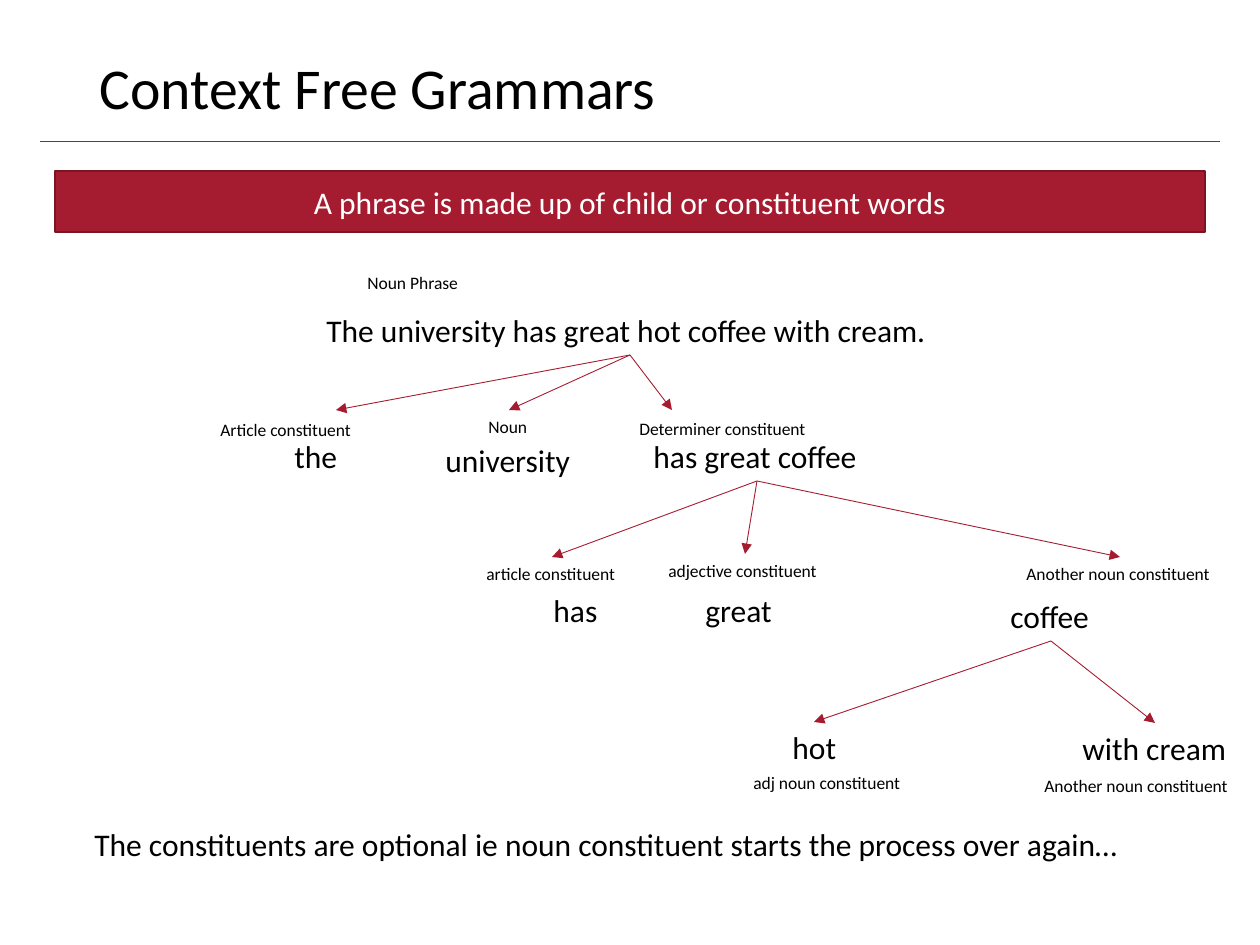
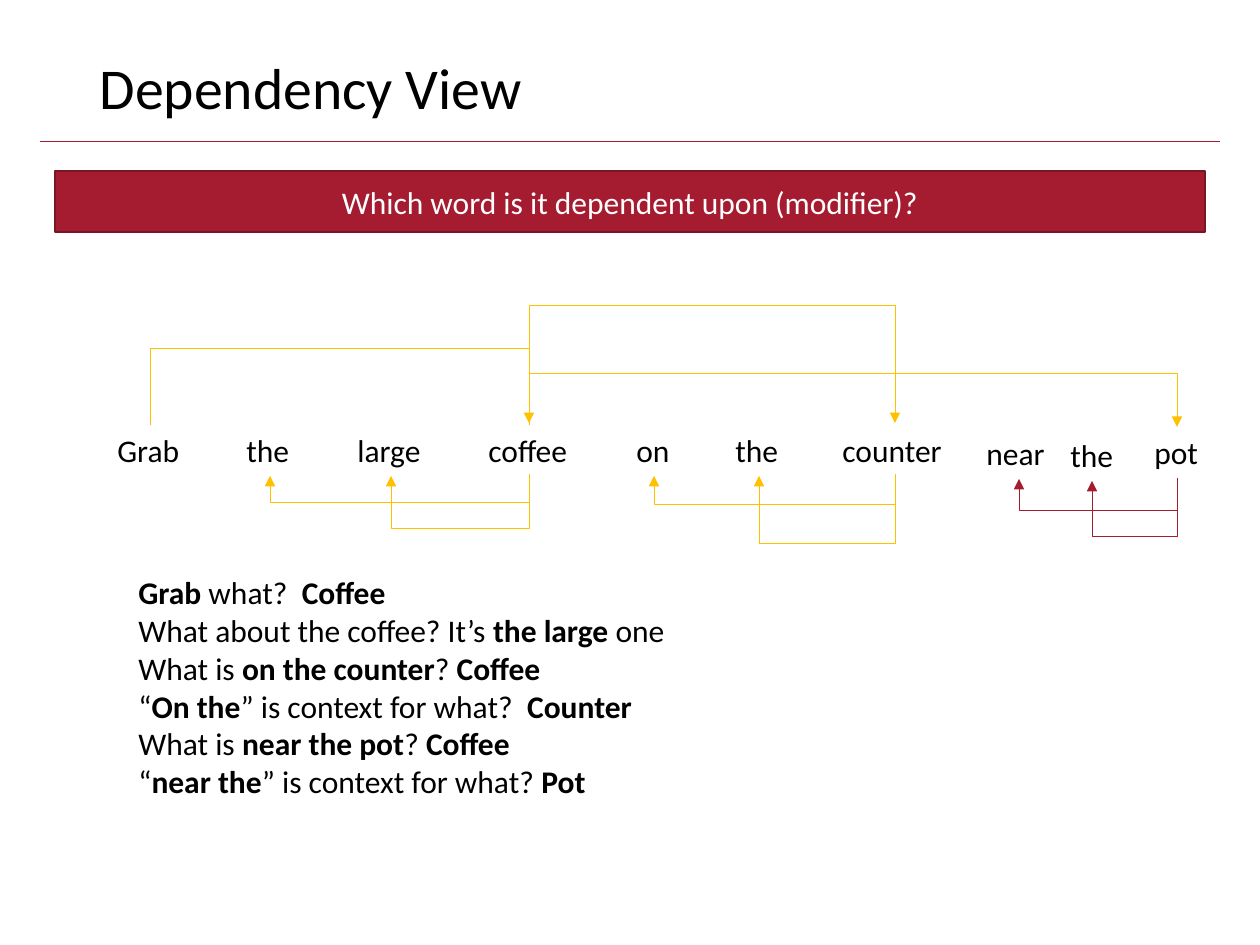
"""Build two slides on phrase constituents and word dependencies."""
import pptx
import pptx.dml.color
import pptx.enum.shapes
import pptx.enum.text
import pptx.oxml.ns
import pptx.oxml.xmlchemy
import pptx.util

EMU_PER_PIXEL = 914400 / 126
COLORS = {"crimson": "A51C30", "dark": "7A1524", "gold": "FFC000",
          "ink": "000000", "paper": "FFFFFF"}
ALIGN = pptx.enum.text.PP_ALIGN
ANCHOR = pptx.enum.text.MSO_ANCHOR
FIT = pptx.enum.text.MSO_AUTO_SIZE
CONNECTOR = pptx.enum.shapes.MSO_CONNECTOR


def px(length):
    return pptx.util.Emu(round(length * EMU_PER_PIXEL))


def rgb(name):
    return pptx.dml.color.RGBColor.from_string(COLORS[name])


def add_xml(parent, tag, **attributes):
    child = pptx.oxml.xmlchemy.OxmlElement(tag)
    for name, value in attributes.items():
        child.set(name, value)
    parent.append(child)
    return child


def write_text(frame, text, size=18, color="ink", align=ALIGN.LEFT,
               anchor=ANCHOR.TOP, spacing=None, wrap=True, fit=FIT.NONE):
    frame.word_wrap = wrap
    frame.auto_size = fit
    frame.vertical_anchor = anchor
    for number, line in enumerate(text.split("\n")):
        paragraph = frame.add_paragraph() if number else frame.paragraphs[0]
        paragraph.alignment = align
        paragraph.line_spacing = spacing
        for position, part in enumerate(line.split("*")):
            if part:
                run = paragraph.add_run()
                run.text = part
                run.font.name = "Calibri"
                run.font.size = pptx.util.Pt(size)
                run.font.bold = position % 2 == 1
                run.font.color.rgb = rgb(color)


class Deck:
    def __init__(self):
        self.presentation = pptx.Presentation()
        self.presentation.slide_width = px(1260)
        self.presentation.slide_height = px(945)
        self.slide = None

    def new_slide(self, title, statement):
        self.slide = self.presentation.slides.add_slide(self.presentation.slide_layouts[5])
        self.line((40, 141), (1220, 141))
        heading = self.slide.shapes.title
        heading.left, heading.top, heading.width, heading.height = map(px, (87, 50, 1086, 82))
        write_text(heading.text_frame, title, size=33, anchor=ANCHOR.MIDDLE, spacing=0.9)
        self.band(statement)

    def band(self, statement):
        band = self.slide.shapes.add_shape(
            pptx.enum.shapes.MSO_SHAPE.RECTANGLE, *map(px, (55, 171, 1150, 61)))
        band.shadow.inherit = False
        band.fill.solid()
        band.fill.fore_color.rgb = rgb("crimson")
        band.line.color.rgb = rgb("dark")
        band.line.width = pptx.util.Pt(1)
        write_text(band.text_frame, statement, color="paper",
                   align=ALIGN.CENTER, anchor=ANCHOR.MIDDLE)

    def label(self, text, left, top, width, height=50, size=18):
        box = self.slide.shapes.add_textbox(*map(px, (left, top, width, height)))
        write_text(box.text_frame, text, size=size, wrap=False, fit=FIT.SHAPE_TO_FIT_TEXT)

    def line(self, start, end, kind=CONNECTOR.STRAIGHT, color="crimson", arrow=False):
        connector = self.slide.shapes.add_connector(kind, *map(px, (*start, *end)))
        connector.line.color.rgb = rgb(color)
        connector.line.width = pptx.util.Pt(0.5)
        if arrow:
            add_xml(connector.get_or_add_ln(), "a:tailEnd", type="triangle")
        add_xml(connector._element.spPr, "a:effectLst")
        return connector

    def branches(self, parent, children):
        for child in children:
            self.line(parent, child, arrow=True)

    def dependency(self, start, end, level, color="gold"):
        (x1, y1), (x2, y2) = start, end
        middle_x, middle_y = (x1 + x2) / 2, (y1 + y2) / 2
        leftward = x2 < x1
        half_width = (y2 - y1) / 2 * (1 if leftward else -1)
        half_height = abs(x2 - x1) / 2
        elbow = self.line((middle_x - half_width, middle_y - half_height),
                          (middle_x + half_width, middle_y + half_height),
                          kind=CONNECTOR.ELBOW, color=color, arrow=True)
        properties = elbow._element.spPr
        properties.find(pptx.oxml.ns.qn("a:xfrm")).set("rot", str((90 if leftward else 270) * 60000))
        geometry = properties.find(pptx.oxml.ns.qn("a:prstGeom"))
        guides = geometry.find(pptx.oxml.ns.qn("a:avLst"))
        if guides is None:
            guides = add_xml(geometry, "a:avLst")
        bend = round((level - y1) / (y2 - y1) * 100000)
        add_xml(guides, "a:gd", name="adj1", fmla=f"val {bend}")


deck = Deck()

deck.new_slide("Context Free Grammars", "A phrase is made up of child or constituent words")
for phrase in (
        ("The university has great hot coffee with cream.", 314, 305, 633),
        ("the", 282, 431, 69), ("university", 433, 435, 151),
        ("has great coffee", 641, 431, 232),
        ("has", 541, 585, 69), ("great", 693, 585, 92), ("coffee", 998, 591, 106),
        ("hot", 780, 722, 69), ("with cream", 1070, 723, 171),
        ("The constituents are optional ie noun constituent starts the process over again…",
         82, 819, 1056)):
    deck.label(*phrase)
for role in (
        ("Noun Phrase", 355, 266, 117),
        ("Article constituent", 208, 413, 159), ("Noun", 476, 410, 64),
        ("Determiner constituent", 627, 412, 194),
        ("article constituent", 474, 557, 156), ("adjective constituent", 656, 554, 176),
        ("Another noun constituent", 1014, 557, 212),
        ("adj noun constituent", 741, 766, 175),
        ("Another noun constituent", 1032, 769, 212)):
    deck.label(*role, height=34, size=10)
deck.branches((630, 355), [(336, 410), (509, 410), (672, 410)])
deck.branches((757, 481), [(552, 557), (745, 554), (1120, 557)])
deck.branches((1051, 641), [(814, 722), (1155, 723)])

deck.new_slide("Dependency View", "Which word is it dependent upon (modifier)?")
for word, left, width in (
        ("Grab", 105, 88), ("the", 234, 69), ("large", 345, 89), ("coffee", 476, 106),
        ("on", 624, 59), ("the", 723, 69), ("counter", 830, 126)):
    deck.label(word, left, 425, width)
for word in (("near ", 974, 428, 92), ("the", 1058, 430, 69), ("pot", 1142, 427, 69)):
    deck.label(*word)
deck.label("*Grab* what?  *Coffee *\n"
           "What about the coffee? It’s *the large *one \n"
           "What is *on the counter*? *Coffee*\n"
           "“*On the*” is context for what?  *Counter*\n"
           "What is *near the pot*? *Coffee*\n"
           "“*near the*” is context for what? *Pot*", 126, 567, 566, height=242)

for start, end, level in (
        ((895, 474), (654, 476), 505), ((895, 474), (759, 476), 544),
        ((529, 425), (895, 423), 305), ((529, 425), (1177, 427), 373),
        ((150, 425), (529, 423), 348),
        ((529, 474), (391, 476), 529), ((529, 474), (270, 476), 503)):
    deck.dependency(start, end, level)
for end, level in (((1092, 481), 537), ((1019, 479), 511)):
    deck.dependency((1177, 478), end, level, color="crimson")

deck.presentation.save("out.pptx")
